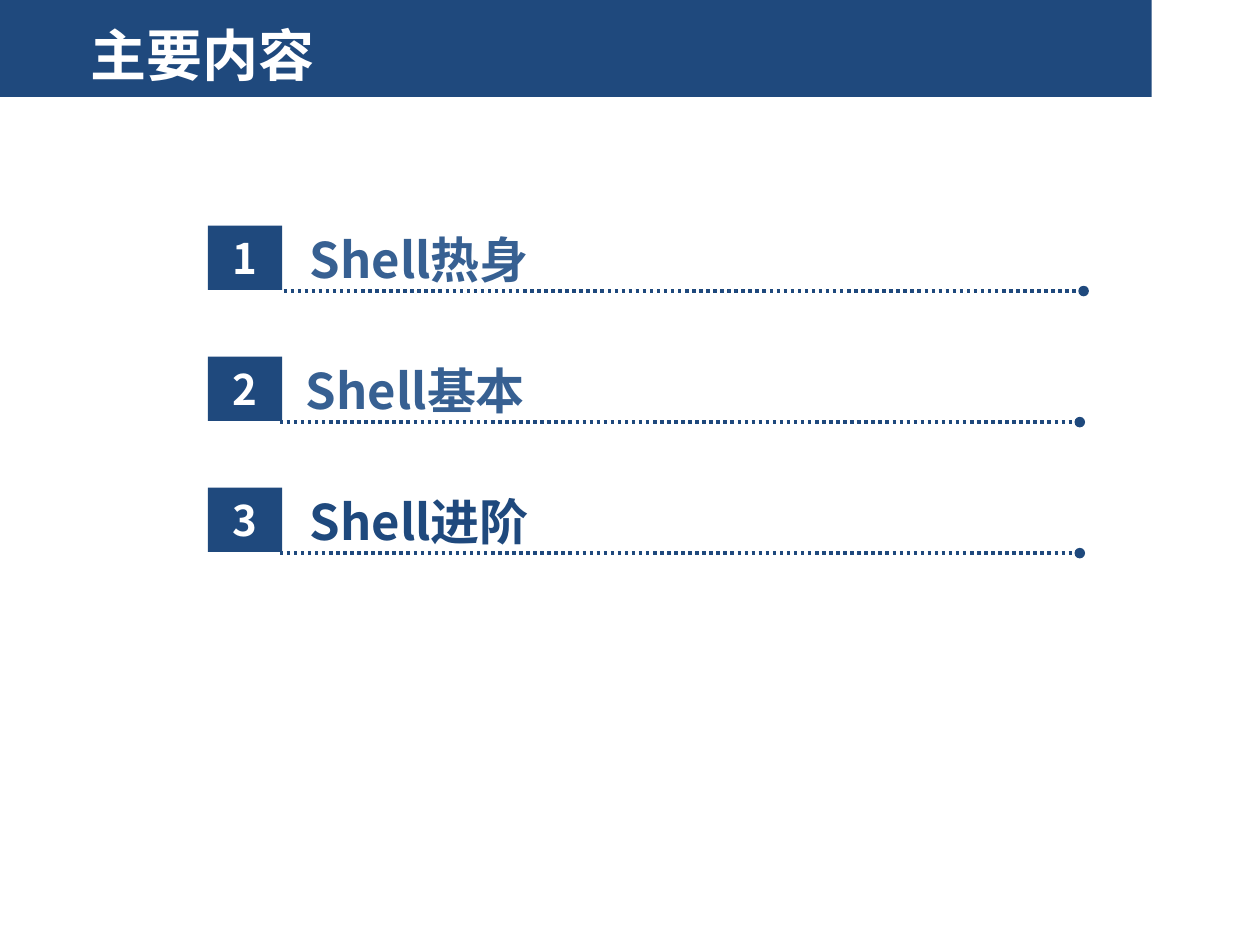
from lxml.etree import SubElement
from pptx import Presentation
from pptx.dml.color import RGBColor
from pptx.enum.dml import MSO_LINE
from pptx.enum.shapes import MSO_CONNECTOR, MSO_SHAPE
from pptx.enum.text import MSO_ANCHOR, MSO_AUTO_SIZE, PP_ALIGN
from pptx.oxml.ns import qn
from pptx.util import Inches, Pt

COLS, ROWS = 10, 7.5
HUES = {"navy": "1F497D", "blue": "376092", "white": "FFFFFF"}
FONT = "Noto Sans CJK SC"


class Deck:
    def __init__(self):
        self.prs = Presentation()
        self.prs.slide_width, self.prs.slide_height = Inches(10), Inches(7.5)
        self.slide = self.prs.slides.add_slide(self.prs.slide_layouts[5])
        self.shapes = self.slide.shapes

    def grid(self, x, y):
        return (round(self.prs.slide_width * x / COLS),
                round(self.prs.slide_height * y / ROWS))

    def hue(self, name):
        return RGBColor.from_string(HUES[name])

    def letter(self, shape, text, size, hue, align=PP_ALIGN.LEFT,
               anchor=MSO_ANCHOR.MIDDLE):
        frame = shape.text_frame
        frame.text = text
        frame.word_wrap = True
        frame.vertical_anchor = anchor
        par = frame.paragraphs[0]
        par.alignment = align
        font = par.runs[0].font
        font.name, font.size, font.bold = FONT, Pt(size), True
        font.color.rgb = self.hue(hue)
        # East Asian letters take their own typeface
        SubElement(font._element, qn("a:ea")).set("typeface", FONT)

    def title(self, x, y, w, h, text):
        box = self.shapes.title
        box.left, box.top = self.grid(x, y)
        box.width, box.height = self.grid(w, h)
        self.letter(box, text, 32, "white")
        box.text_frame.auto_size = MSO_AUTO_SIZE.NONE

    def block(self, x, y, w, h):
        box = self.shapes.add_shape(MSO_SHAPE.RECTANGLE,
                                    *self.grid(x, y), *self.grid(w, h))
        box.shadow.inherit = False
        box.fill.solid()
        box.fill.fore_color.rgb = self.hue("navy")
        box.line.fill.background()
        return box

    def band(self, w, h):
        bar = self.block(0, 0, w, h)
        # Keep the band behind the title
        self.shapes.title._element.addprevious(bar._element)

    def badge(self, x, y, w, h, text):
        self.letter(self.block(x, y, w, h), text, 24, "white", PP_ALIGN.CENTER)

    def label(self, x, y, w, h, text, hue):
        box = self.shapes.add_textbox(*self.grid(x, y), *self.grid(w, h))
        self.letter(box, text, 28, hue, anchor=MSO_ANCHOR.TOP)
        box.text_frame.auto_size = MSO_AUTO_SIZE.SHAPE_TO_FIT_TEXT

    def rule(self, x, y, w):
        rule = self.shapes.add_connector(MSO_CONNECTOR.STRAIGHT,
                                         *self.grid(x, y), *self.grid(x + w, y))
        rule.line.color.rgb = self.hue("navy")
        rule.line.width = Pt(2)
        rule.line.dash_style = MSO_LINE.ROUND_DOT
        props = rule._element.spPr
        SubElement(props.find(qn("a:ln")), qn("a:tailEnd")).set("type", "oval")
        SubElement(props, qn("a:effectLst"))


def main():
    deck = Deck()

    # Header
    deck.band(9.14, 0.77)
    deck.title(0.62, 0.08, 8.52, 0.7, "主要内容")

    # Topics: text, colour, label column, rule column
    topics = [("Shell热身", "blue", 2.36, 2.25),
              ("Shell基本", "blue", 2.33, 2.22),
              ("Shell进阶", "navy", 2.36, 2.22)]
    top, step = 1.79, 1.04
    for i, (text, hue, left, start) in enumerate(topics):
        y = top + i * step
        deck.badge(1.65, y, 0.59, 0.51, str(i + 1))
        deck.label(left, y - 0.02, 6.15, 0.57, text, hue)
        deck.rule(start, y + 0.52, 6.35)

    deck.prs.save("out.pptx")


if __name__ == "__main__":
    main()
